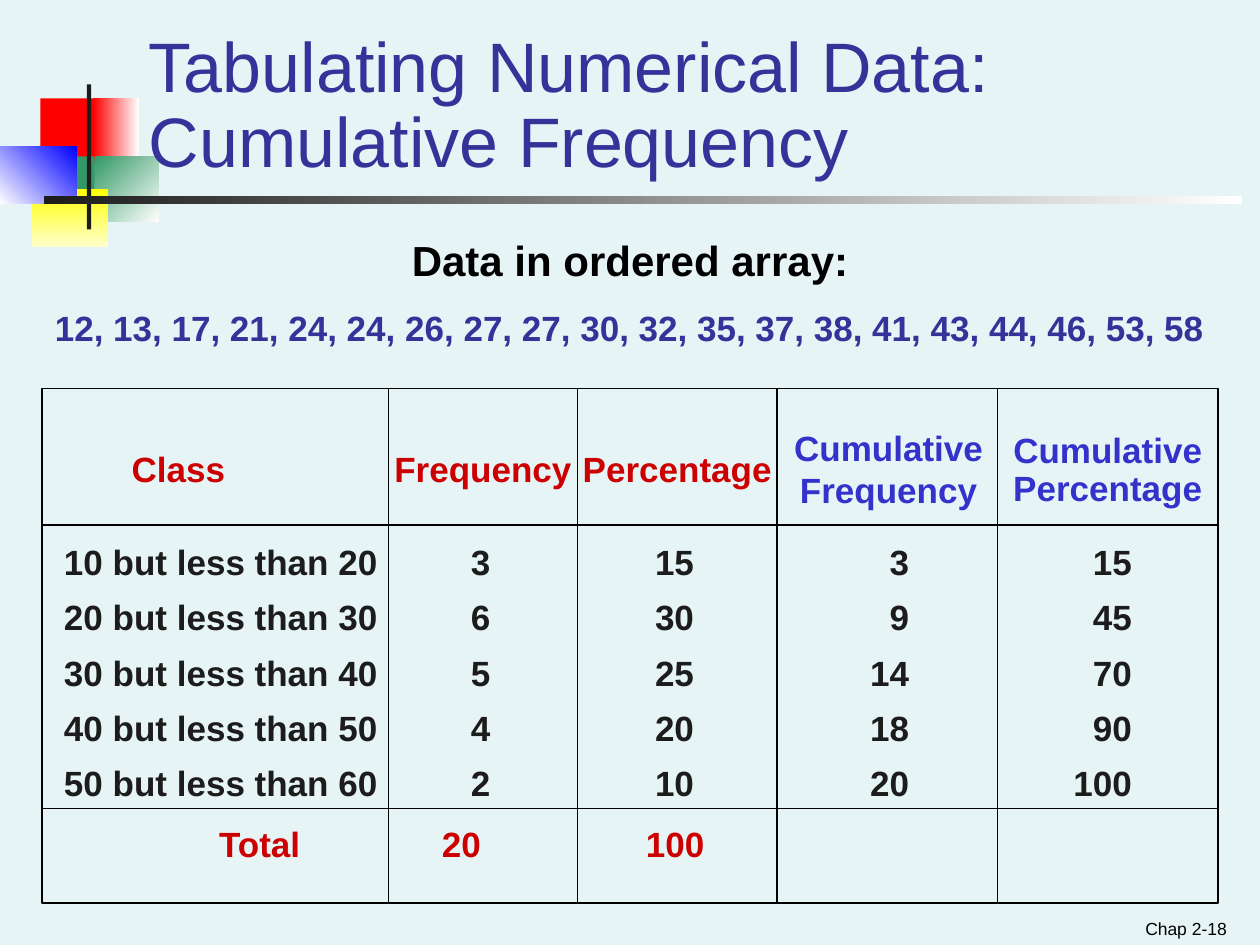
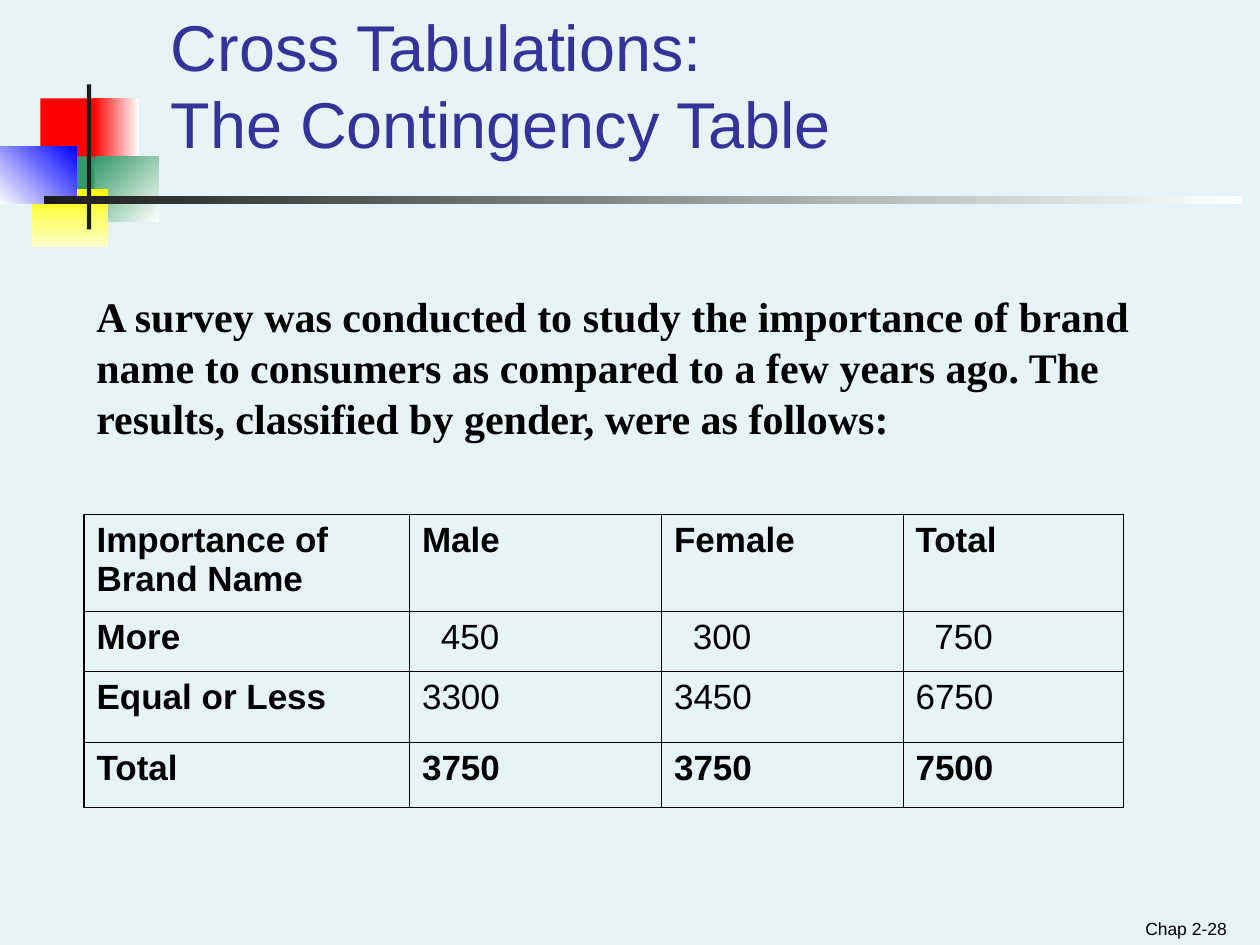
from dataclasses import dataclass

from lxml import etree
from pptx import Presentation
from pptx.dml.color import RGBColor
from pptx.enum.shapes import MSO_CONNECTOR, MSO_SHAPE
from pptx.enum.text import MSO_ANCHOR, PP_ALIGN
from pptx.oxml.ns import qn
from pptx.util import Inches, Pt

RECT = MSO_SHAPE.RECTANGLE
STRAIGHT = MSO_CONNECTOR.STRAIGHT
TOP, BOTTOM = MSO_ANCHOR.TOP, MSO_ANCHOR.BOTTOM
LEFT, CENTER, RIGHT = PP_ALIGN.LEFT, PP_ALIGN.CENTER, PP_ALIGN.RIGHT
GRID_COLS, GRID_ROWS = 120, 90


@dataclass(frozen=True)
class Theme:
    """Colours, fonts and type sizes of the deck."""
    back: str = "E7F4F5"
    title: str = "333399"
    black: str = "000000"
    dark: str = "1C1C1C"
    white: str = "FFFFFF"
    red: str = "CC0000"
    blue: str = "3333CC"
    sans: str = "Arial"
    serif: str = "Times New Roman"
    title_size: int = 40
    title_small: int = 37
    lead: int = 24
    body: int = 20
    footer: int = 10
    outer_line: float = 1.08
    inner_line: float = 0.45


T = Theme()

# Box in grid cells, colours from start to end, clockwise angle
EMBLEM = [
    ((3.84, 9.36, 5.76, 6.24), ("FF0000",), 0),
    ((8.88, 9.36, 4.32, 6.24), ("FF0000", T.white), 0),
    ((9, 14.88, 6.12, 6.24), ("339966", T.white), 45),
    ((5.16, 14.88, 3.84, 6.24), ("339966",), 0),
    ((3, 18, 7.32, 5.52), ("FFFF00", "FFFFCC"), 90),
    ((0, 13.92, 7.32, 5.52), (T.white, "0000FF"), 315),
    ((8.28, 8.04, 0.4, 13.8), (T.dark,), 0),
    ((4.2, 18.72, 114.1, 0.72), (T.dark, T.white), 0),
]


def rgb(color):
    """Turn a hex string into a colour."""
    return RGBColor.from_string(color)


class Deck:
    """Holds the presentation, the theme and the current slide."""

    def __init__(self, theme):
        """Open a 10 by 7.5 inch presentation."""
        self.theme = theme
        self.prs = Presentation()
        self.prs.slide_width, self.prs.slide_height = Inches(10), Inches(7.5)
        fill = self.prs.slide_master.background.fill
        fill.solid()
        fill.fore_color.rgb = rgb(theme.back)

    def x(self, cols):
        """Width of a number of grid columns."""
        return round(self.prs.slide_width * cols / GRID_COLS)

    def y(self, rows):
        """Height of a number of grid rows."""
        return round(self.prs.slide_height * rows / GRID_ROWS)

    def box(self, box):
        """Turn left, top, width and height in grid cells into lengths."""
        left, top, width, height = box
        return self.x(left), self.y(top), self.x(width), self.y(height)

    def slide(self, title, title_box, footer, size, spacing=None):
        """Start a slide with its emblem, footer and title."""
        t = self.theme
        self.s = self.prs.slides.add_slide(self.prs.slide_layouts[6])
        group = self.s.shapes.add_group_shape()
        for box, colors, angle in EMBLEM:
            self.block(group.shapes, box, colors, angle)
        tf = self.text((90, 85.8, 28, 4.2), BOTTOM)
        self.para(tf, footer, t.footer, align=RIGHT)
        tf = self.text(title_box, BOTTOM)
        self.para(tf, title, size, t.title, spacing=spacing)

    def block(self, shapes, box, colors, angle):
        """Add a rectangle with a plain or gradient fill."""
        sp = shapes.add_shape(RECT, *self.box(box))
        sp.shadow.inherit = False
        sp.line.fill.background()
        if len(colors) == 1:
            sp.fill.solid()
            sp.fill.fore_color.rgb = rgb(colors[0])
            return
        sp.fill.gradient()
        sp.fill.gradient_angle = (360 - angle) % 360
        for stop, color in zip(sp.fill.gradient_stops, colors):
            stop.color.rgb = rgb(color)

    def frame(self, box):
        """Add an empty outlined rectangle."""
        sp = self.s.shapes.add_shape(RECT, *self.box(box))
        sp.shadow.inherit = False
        sp.fill.background()
        sp.line.color.rgb = rgb(self.theme.black)
        sp.line.width = Pt(1)

    def line(self, x1, y1, x2, y2):
        """Add a thin straight line."""
        c = self.s.shapes.add_connector(
            STRAIGHT, self.x(x1), self.y(y1), self.x(x2), self.y(y2))
        c.line.color.rgb = rgb(self.theme.black)
        c.line.width = Pt(1)
        etree.SubElement(c._element.spPr, qn("a:effectLst"))

    def text(self, box, anchor=TOP):
        """Add a wrapping text box and return its frame."""
        tf = self.s.shapes.add_textbox(*self.box(box)).text_frame
        tf.word_wrap = True
        tf.vertical_anchor = anchor
        return tf

    def para(self, tf, text, size, color=T.black, bold=False, align=LEFT,
             font=T.sans, spacing=None, before=0, tabs=()):
        """Fill the first free paragraph, with right tabs in grid columns."""
        first = not tf.text
        p = tf.paragraphs[0] if first else tf.add_paragraph()
        p.text = text
        p.alignment = align
        p.line_spacing = spacing
        p.space_before = Pt(0 if first else before)
        if tabs:
            tab_list = etree.SubElement(p._p.get_or_add_pPr(), qn("a:tabLst"))
            for pos in tabs:
                etree.SubElement(tab_list, qn("a:tab"),
                                 pos=str(self.x(pos)), algn="r")
        for r in p.runs:
            r.font.size, r.font.bold, r.font.name = Pt(size), bold, font
            r.font.color.rgb = rgb(color)

    def border(self, cell, widths):
        """Draw a cell's left, right, top and bottom borders."""
        tc_pr = cell._tc.get_or_add_tcPr()
        for i, (side, width) in enumerate(zip("LRTB", widths)):
            ln = etree.Element(qn(f"a:ln{side}"), w=str(Pt(width)))
            fill = etree.SubElement(ln, qn("a:solidFill"))
            etree.SubElement(fill, qn("a:srgbClr"), val=self.theme.black)
            tc_pr.insert(i, ln)

    def table(self, left, top, cols, rows, data):
        """Add a table with bold headings and a heavier outer border."""
        t = self.theme
        last_row, last_col = len(rows) - 1, len(cols) - 1
        tbl = self.s.shapes.add_table(
            len(rows), len(cols),
            *self.box((left, top, sum(cols), sum(rows)))).table
        tbl.first_row = tbl.horz_banding = False
        for col, width in zip(tbl.columns, cols):
            col.width = self.x(width)
        for row, height in zip(tbl.rows, rows):
            row.height = self.y(height)
        for i, values in enumerate(data):
            for j, value in enumerate(values):
                cell = tbl.cell(i, j)
                cell.fill.background()
                edges = (j == 0, j == last_col, i == 0, i == last_row)
                self.border(cell, [t.outer_line if edge else t.inner_line
                                   for edge in edges])
                if value.isdigit() and len(value) == 3:
                    cell.margin_left = Inches(0.25)
                self.para(cell.text_frame, value, t.body,
                          bold=j == 0 or i in (0, last_row))


def cumulative_slide(deck):
    """Build the cumulative frequency slide."""
    deck.slide("Tabulating Numerical Data:\vCumulative Frequency",
               (13, 5, 104, 13), "Chap 2-18", T.title_size, 0.9)
    left, *dividers, right = 4, 37, 55, 74, 95, 116
    top, *rules, bottom = 37, 50, 77, 86
    deck.frame((left, top, right - left, bottom - top))
    for row in rules:
        deck.line(left, row, right, row)
    for col in dividers:
        deck.line(col, top, col, bottom)

    headings = [
        ("Class", (10, 42, 14, 5.2), T.red, None),
        ("Frequency", (36, 42, 20, 5.2), T.red, None),
        ("Percentage", (54, 42, 21, 5.2), T.red, None),
        ("Cumulative Frequency", (73, 40, 23.25, 9.1), T.blue, None),
        ("Cumulative Percentage", (95, 40.7, 21, 8.4), T.blue, 0.9),
    ]
    for label, box, color, spacing in headings:
        deck.para(deck.text(box), label, T.body, color, True, CENTER,
                  spacing=spacing)

    classes = [
        ("10 but less than 20", "3", "15", "3", "15"),
        ("20 but less than 30", "6", "30", "9", "45"),
        ("30 but less than 40", "5", "25", "14", "70"),
        ("40 but less than 50", "4", "20", "18", "90"),
        ("50 but less than 60", "2", "10", "20", "100"),
    ]
    tf = deck.text((4.92, 50.9, 109.4, 32))
    for values in classes:
        deck.para(tf, "\t".join(values), T.body, T.dark, True, before=7.5,
                  tabs=(40.6, 60, 80.5, 101.7))
    deck.para(tf, "\tTotal\t20\t100", T.body, T.red, True, spacing=0.7,
              before=17.5, tabs=(22.5, 39.7, 61))

    tf = deck.text((4, 21.7, 112, 12))
    deck.para(tf, "Data in ordered array:", T.lead, bold=True, align=CENTER)
    deck.para(tf, "12, 13, 17, 21, 24, 24, 26, 27, 27, 30, 32, 35, 37, 38, "
              "41, 43, 44, 46, 53, 58", T.body, T.title, True, CENTER,
              before=12.5)


def contingency_slide(deck):
    """Build the contingency table slide."""
    deck.slide("Cross Tabulations:\vThe Contingency Table",
               (15.1, 3, 96.8, 13), "Chap 2-28", T.title_small)
    deck.table(8, 49, (31, 24, 23, 21), (9.2, 5.7, 6.8, 6.2), [
        ("Importance of Brand Name", "Male", "Female", "Total"),
        ("More", "450", "300", "750"),
        ("Equal or Less", "3300", "3450", "6750"),
        ("Total", "3750", "3750", "7500"),
    ])
    tf = deck.text((8, 28, 105, 15))
    for text in ("A survey was conducted to study the importance of brand",
                 "name to consumers as compared to a few years ago. The",
                 "results, classified by gender, were as follows:"):
        deck.para(tf, text, T.lead, bold=True, font=T.serif, spacing=0.8,
                  before=6)


def main():
    """Build and save both slides."""
    deck = Deck(T)
    cumulative_slide(deck)
    contingency_slide(deck)
    deck.prs.save("out.pptx")


if __name__ == "__main__":
    main()
